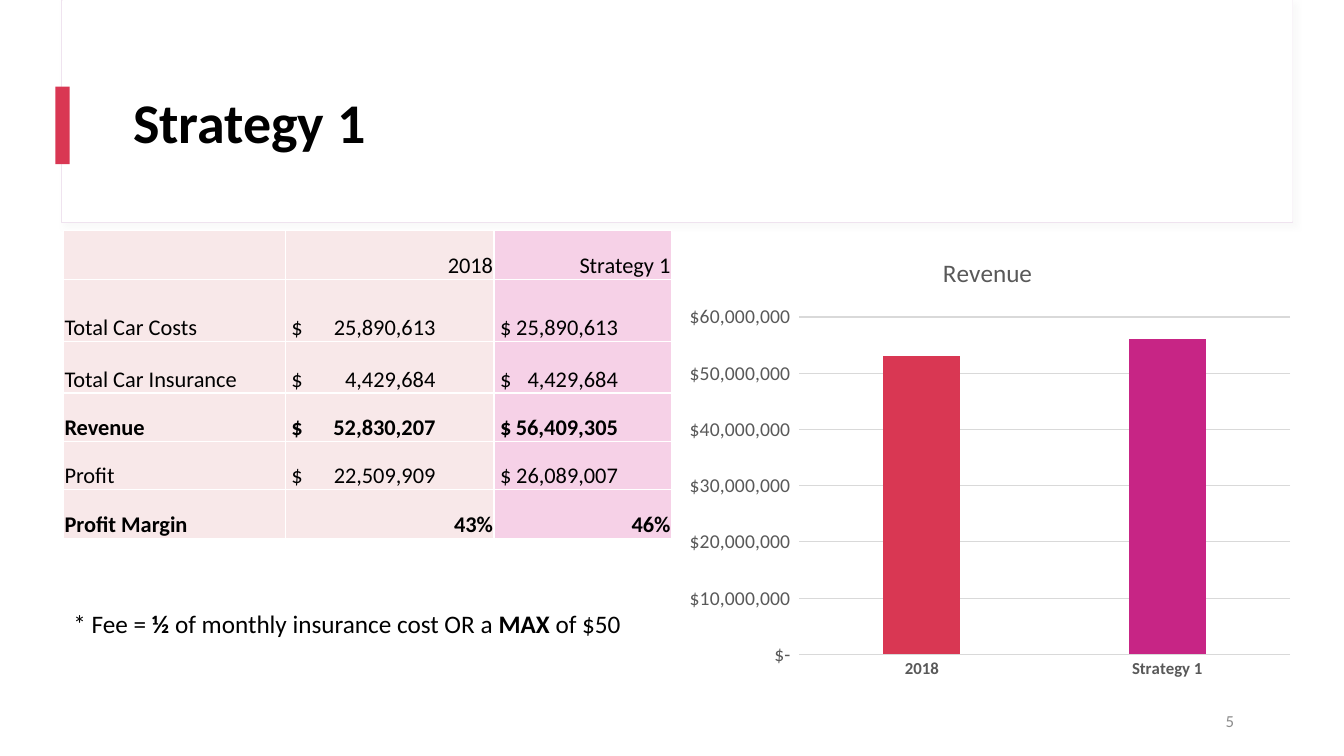
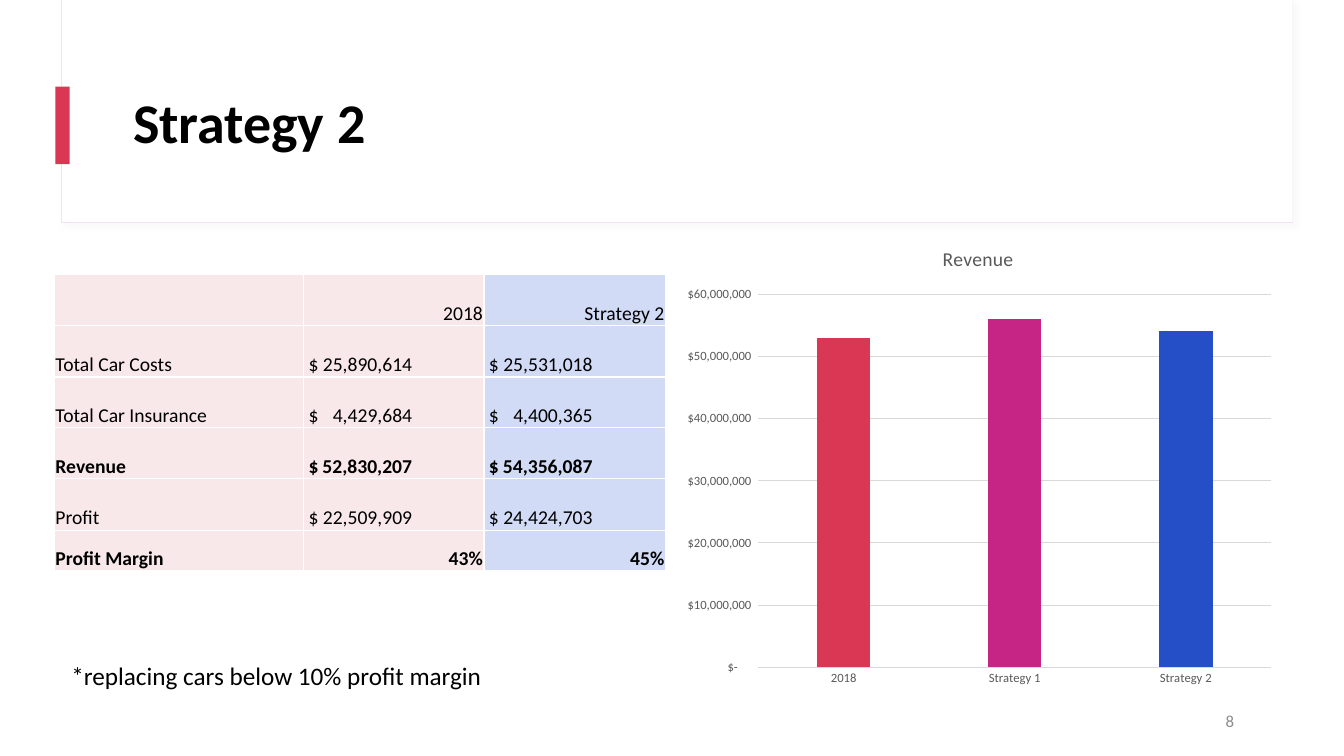
"""Build two slides that compare car rental strategies in a table and a revenue chart."""
from lxml import etree
from pptx import Presentation
from pptx.chart.data import CategoryChartData
from pptx.dml.color import RGBColor
from pptx.enum.chart import XL_CHART_TYPE as ChartType, XL_TICK_MARK as TickMark
from pptx.enum.shapes import MSO_SHAPE as Shape
from pptx.enum.text import MSO_ANCHOR as Anchor, MSO_AUTO_SIZE as AutoSize, PP_ALIGN as Align
from pptx.oxml.ns import qn
from pptx.util import Pt

PX = 9144
FONT = "Calibri"
COLORS = {
    "white": "FFFFFF", "black": "000000", "panel line": "EFE3EF", "shadow": "D9D9D9",
    "red": "D93753", "pink": "C72585", "blue": "254FC7",
    "pale red": "F8E8E9", "pale pink": "F6D1E7", "pale blue": "D1DBF6",
    "chart text": "595959", "grid": "D9D9D9", "page number": "8C8C8C",
}
PANEL_SHAPES = [
    ((61, 0, 1221, 221), "white", "panel line"),
    ((62, 0, 1220, 220), "white", None),
    ((55, 86, 14, 77), "red", None),
]
TITLE_BOX = (122, 60, 1112, 129)
NUMBER_BOX = (934, 695, 300, 40)
BOLD_ROWS = ("Revenue", "Profit Margin")
ROW_LABELS = ["", "Total Car Costs", "Total Car Insurance", "Revenue", "Profit", "Profit Margin"]
BAR_COLORS = {"2018": "red", "Strategy 1": "pink", "Strategy 2": "blue"}
MONEY_FORMAT = '_("$"* #,##0_);_("$"* \\(#,##0\\);_("$"* "-"{}_);_(@_)'

SLIDES = [
    {
        "title": "Strategy 1",
        "number": "5",
        "table": {
            "at": (63, 229), "widths": [220, 207, 176], "heights": [48, 62, 51, 48, 48, 48],
            "size": 16, "indent": 6, "tabs": [None, 143, 117],
            "fills": ["pale red", "pale red", "pale pink"],
            "columns": [
                ["2018", "25,890,613", "4,429,684", "52,830,207", "22,509,909", "43%"],
                ["Strategy 1", "25,890,613", "4,429,684", "56,409,305", "26,089,007", "46%"],
            ],
        },
        "chart": {
            "box": (667, 234, 625, 448), "title size": 18, "category size": 12,
            "category bold": True, "value size": 14, "zero": "",
            "values": {"2018": 53_000_000, "Strategy 1": 56_000_000},
        },
        "note box": (63, 599, 603, 101),
        "note": [("* Fee = ", False), ("½", True), (" of monthly insurance cost OR a ", False),
                 ("MAX", True), (" of $50", False)],
    },
    {
        "title": "Strategy 2",
        "number": "8",
        "table": {
            "at": (54, 272), "widths": [247, 179, 180], "heights": [51, 51, 50, 51, 51, 40],
            "size": 14, "indent": 5, "tabs": [None, 103, 103],
            "fills": ["pale red", "pale red", "pale blue"],
            "columns": [
                ["2018", "25,890,614", "4,429,684", "52,830,207", "22,509,909", "43%"],
                ["Strategy 2", "25,531,018", "4,400,365", "54,356,087", "24,424,703", "45%"],
            ],
        },
        "chart": {
            "box": (667, 225, 606, 465), "title size": 14, "category size": 9,
            "category bold": False, "value size": 9, "zero": "??",
            "values": {"2018": 53_000_000, "Strategy 1": 56_000_000, "Strategy 2": 54_000_000},
        },
        "note box": (61, 650, 562, 40),
        "note": [("*replacing cars below 10% profit margin", False)],
    },
]


def emu(lengths):
    return [length * PX for length in lengths]


def rgb(name):
    return RGBColor.from_string(COLORS[name])


def paint(target, name):
    target.solid()
    target.fore_color.rgb = rgb(name)


def style(font, size, color="black", bold=False):
    font.name, font.size, font.bold = FONT, Pt(size), bold
    font.color.rgb = rgb(color)


def add_color(parent, name):
    fill = etree.SubElement(parent, qn("a:solidFill"))
    etree.SubElement(fill, qn("a:srgbClr"), val=COLORS[name])


def add_soft_shadow(shape):
    effects = shape.element.spPr.find(qn("a:effectLst"))
    shadow = etree.SubElement(effects, qn("a:outerShdw"), blurRad=str(Pt(4)), dist=str(Pt(3)),
                              dir="2700000", algn="tl", rotWithShape="0")
    color = etree.SubElement(shadow, qn("a:srgbClr"), val=COLORS["shadow"])
    etree.SubElement(color, qn("a:alpha"), val="15000")


def move_panel_to_layout(page, layout):
    tree = layout.shapes.element
    for index, (box, fill, line) in enumerate(PANEL_SHAPES):
        shape = page.shapes.add_shape(Shape.RECTANGLE, *emu(box))
        shape.shadow.inherit = False
        paint(shape.fill, fill)
        if line:
            paint(shape.line.fill, line)
            shape.line.width = Pt(0.75)
            add_soft_shadow(shape)
        else:
            shape.line.fill.background()
        shape.element.nvSpPr.cNvPr.id = 101 + index
        tree.insert(2 + index, shape.element)


def add_title(page, text):
    title = page.shapes.title
    title.left, title.top, title.width, title.height = emu(TITLE_BOX)
    frame = title.text_frame
    frame.text = text
    frame.vertical_anchor = Anchor.MIDDLE
    para = frame.paragraphs[0]
    para.alignment, para.line_spacing = Align.LEFT, 0.9
    style(para.runs[0].font, 40, bold=True)


def add_text(page, box, spans, size, color="black"):
    frame = page.shapes.add_textbox(*emu(box)).text_frame
    frame.word_wrap = True
    para = frame.paragraphs[0]
    for text, bold in spans:
        span = para.add_run()
        span.text = text
        style(span.font, size, color, bold)
    return frame


def add_borders(cell):
    properties = cell._tc.get_or_add_tcPr()
    for side in ("lnL", "lnR", "lnT", "lnB"):
        add_color(etree.SubElement(properties, qn(f"a:{side}"), w=str(Pt(1))), "white")


def add_right_tab(para, position):
    tabs = etree.SubElement(para._p.get_or_add_pPr(), qn("a:tabLst"))
    etree.SubElement(tabs, qn("a:tab"), pos=str(position * PX), algn="r")


def fill_cell(cell, text, fill, size, bold, indent, tab):
    add_borders(cell)
    paint(cell.fill, fill)
    cell.vertical_anchor = Anchor.BOTTOM
    cell.margin_left = cell.margin_right = cell.margin_top = PX
    cell.margin_bottom = 0
    para = cell.text_frame.paragraphs[0]
    if "," in text:
        cell.margin_left = indent * PX
        add_right_tab(para, tab)
        text = f"$\t{text}"
    elif tab:
        para.alignment = Align.RIGHT
    para.text = text
    style(para.font, size, bold=bold)
    for span in para.runs:
        style(span.font, size, bold=bold)


def add_figures(page, data):
    widths, heights = data["widths"], data["heights"]
    box = (*data["at"], sum(widths), sum(heights))
    table = page.shapes.add_table(len(heights), len(widths), *emu(box)).table
    table.first_row = table.horz_banding = False
    for column, width in zip(table.columns, widths):
        column.width = width * PX
    for row, height in zip(table.rows, heights):
        row.height = height * PX
    for x, texts in enumerate([ROW_LABELS, *data["columns"]]):
        for y, text in enumerate(texts):
            fill_cell(table.cell(y, x), text, data["fills"][x], data["size"],
                      ROW_LABELS[y] in BOLD_ROWS, data["indent"], data["tabs"][x])


def add_revenue_chart(page, data):
    values = data["values"]
    chart_data = CategoryChartData()
    chart_data.categories = list(values)
    chart_data.add_series("Revenue", list(values.values()))
    chart = page.shapes.add_chart(ChartType.COLUMN_CLUSTERED, *emu(data["box"]), chart_data).chart
    style(chart.font, 10)
    chart.has_legend = False
    chart.has_title = True
    chart.chart_title.include_in_layout = False
    title = chart.chart_title.text_frame
    title.text = "Revenue"
    style(title.paragraphs[0].runs[0].font, data["title size"], "chart text")

    plot = chart.plots[0]
    plot.gap_width, plot.overlap, plot.vary_by_categories = 219, -27, False
    series = plot.series[0]
    paint(series.format.fill, "red")
    for index, name in enumerate(values):
        paint(series.points[index].format.fill, BAR_COLORS[name])

    category, value = chart.category_axis, chart.value_axis
    for axis in (category, value):
        axis.major_tick_mark = axis.minor_tick_mark = TickMark.NONE
    style(category.tick_labels.font, data["category size"], "chart text", data["category bold"])
    style(value.tick_labels.font, data["value size"], "chart text")
    value.minimum_scale, value.maximum_scale, value.major_unit = 0, 60_000_000, 10_000_000
    value.tick_labels.number_format = MONEY_FORMAT.format(data["zero"])
    value.tick_labels.number_format_is_linked = False
    value.format.line.fill.background()
    for line in (category.format.line, value.major_gridlines.format.line):
        paint(line.fill, "grid")
        line.width = Pt(0.75)


def main():
    deck = Presentation()
    deck.slide_width, deck.slide_height = emu((1333, 750))
    layout = deck.slide_layouts[5]
    for index, content in enumerate(SLIDES):
        page = deck.slides.add_slide(layout)
        if index == 0:
            move_panel_to_layout(page, layout)
        add_title(page, content["title"])
        add_figures(page, content["table"])
        add_revenue_chart(page, content["chart"])
        note = add_text(page, content["note box"], content["note"], 18)
        note.auto_size = AutoSize.SHAPE_TO_FIT_TEXT
        number = add_text(page, NUMBER_BOX, [(content["number"], False)], 12, "page number")
        number.vertical_anchor = Anchor.MIDDLE
        number.paragraphs[0].alignment = Align.RIGHT
    deck.save("out.pptx")


if __name__ == "__main__":
    main()
